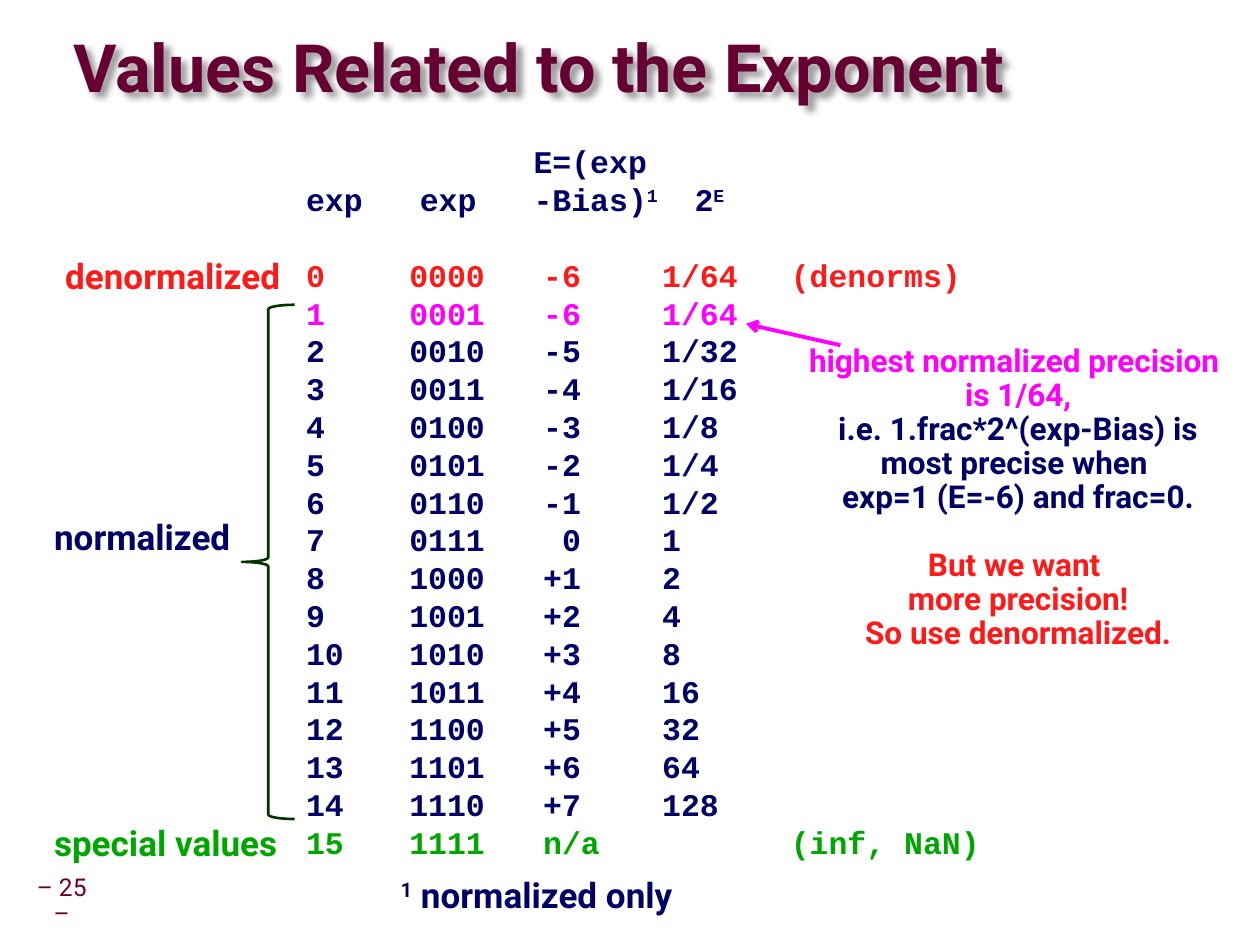
from lxml import etree
from pptx import Presentation
from pptx.dml.color import RGBColor
from pptx.enum import shapes, text
from pptx.oxml import parse_xml
from pptx.oxml.ns import nsdecls, qn
from pptx.util import Pt

PLUM = RGBColor(0x66, 0x00, 0x33)
NAVY = RGBColor(0x00, 0x00, 0x66)
RED = RGBColor(0xFF, 0x1A, 0x1A)
PINK = RGBColor(0xFF, 0x00, 0xFF)
GREEN = RGBColor(0x00, 0xA6, 0x00)
DARK = RGBColor(0x00, 0x33, 0x00)

SANS, MONO = "Roboto", "Courier New"
LEFT, MID = text.PP_ALIGN.LEFT, text.PP_ALIGN.CENTER
PITCH = 21.6  # height of one table line

HEAD_TABS = (65, 130, 222)
ROW_TABS = (59, 135.5, 203.5, 277)
POWERS = ["1/64", "1/64", "1/32", "1/16", "1/8", "1/4", "1/2"]
POWERS += [str(2 ** n) for n in range(8)]


def add_box(slide, box, pad=(7.2, 3.6, 7.2, 3.6), anchor=text.MSO_ANCHOR.TOP):
    shape = slide.shapes.add_textbox(*map(Pt, box))
    frame = shape.text_frame
    frame.word_wrap = True
    frame.vertical_anchor = anchor
    (frame.margin_left, frame.margin_top,
     frame.margin_right, frame.margin_bottom) = map(Pt, pad)
    return shape


def add_para(frame, parts, size, color, font=SANS, bold=True,
             align=LEFT, space=0.9):
    """Add a line; parts starting with ^ are raised."""
    first = frame.paragraphs[0]
    para = first if not first.runs else frame.add_paragraph()
    para.alignment, para.line_spacing = align, space
    for part in parts:
        run = para.add_run()
        run.text = part.lstrip("^")
        run.font.size, run.font.name = Pt(size), font
        run.font.bold, run.font.color.rgb = bold, color
        if part.startswith("^"):
            run.font._element.set("baseline", "30000")
    return para


def set_tabs(para, stops):
    props = para._p.get_or_add_pPr()
    tabs = etree.SubElement(props, qn("a:tabLst"))
    for stop in stops:
        etree.SubElement(tabs, qn("a:tab"), pos=str(int(Pt(stop))), algn="l")


def add_title(slide, box):
    shape = add_box(slide, box, (0, 0, 0, 0), text.MSO_ANCHOR.MIDDLE)
    add_para(shape.text_frame, ["Values Related to the Exponent"], 38, PLUM,
             space=0.87)
    # Soft shadow behind the letters
    shape._element.spPr.append(parse_xml(
        f'<a:effectLst {nsdecls("a")}><a:outerShdw blurRad="50800" '
        'dist="50800" dir="2700000"><a:srgbClr val="000000">'
        '<a:alpha val="40000"/></a:srgbClr></a:outerShdw></a:effectLst>'))


def add_page(slide, box):
    shape = add_box(slide, box, (1.5, 3.6, 13, 3.6), text.MSO_ANCHOR.MIDDLE)
    add_para(shape.text_frame, ["– 25 –"], 14, PLUM, bold=False, align=MID)


def add_values(slide, box):
    frame = add_box(slide, box).text_frame

    def add_line(parts, color, stops):
        para = add_para(frame, parts, 18, color, MONO, space=Pt(PITCH))
        set_tabs(para, stops)
        return para

    # Two header lines
    add_line(["\t\tE=(exp"], NAVY, HEAD_TABS)
    add_line(["exp\texp\t-Bias)", "^1", "\t2", "^E"], NAVY, HEAD_TABS)
    # One line for each 4-bit exponent
    tints = {0: RED, 1: PINK, 15: GREEN}
    for exp in range(16):
        power = max(exp, 1) - 7
        cells = [str(exp), f"{exp:04b}", f"{power:+d}" if power else " 0"]
        if exp == 15:
            cells[2:] = ["n/a", "", "(inf, NaN)"]
        else:
            cells.append(POWERS[exp])
        if exp == 0:
            cells.append("(denorms)")
        para = add_line(["\t".join(cells)], tints.get(exp, NAVY), ROW_TABS)
        if exp == 0:
            para.space_before = Pt(PITCH)


def add_note(slide, box):
    left, top, wide, high = box
    frame = add_box(slide, box, (3.6, 3.6, 3.6, 3.6)).text_frame
    lines = [
        ("highest normalized precision ", PINK),
        ("is 1/64,", PINK),
        ("i.e. 1.frac*2^(exp-Bias) is", NAVY),
        ("most precise when ", NAVY),
        ("exp=1 (E=-6) and frac=0.", NAVY),
        ("But we want ", RED),
        ("more precision!", RED),
        ("So use denormalized.", RED),
    ]
    for words, color in lines:
        para = add_para(frame, [words], 18, color, align=MID)
        if words.startswith("But"):
            para.space_before = Pt(19.4)
    # Arrow to the 1/64 row
    ends = (left + 24.5, top + 3.6, left - 29.5, top - 8.6)
    arrow = slide.shapes.add_connector(
        shapes.MSO_CONNECTOR.STRAIGHT, *map(Pt, ends))
    arrow.line.color.rgb, arrow.line.width = PINK, Pt(2.25)
    etree.SubElement(arrow.line._get_or_add_ln(), qn("a:tailEnd"),
                     type="arrow")
    etree.SubElement(arrow._element.spPr, qn("a:effectLst"))


def add_brace(slide, box):
    brace = slide.shapes.add_shape(
        shapes.MSO_SHAPE.LEFT_BRACE, *map(Pt, box))
    brace.shadow.inherit = False
    brace.fill.background()
    brace.line.color.rgb, brace.line.width = DARK, Pt(1.5)


def add_label(slide, box, parts, color):
    add_para(add_box(slide, box).text_frame, parts, 20, color)


def main():
    deck = Presentation()
    deck.slide_width, deck.slide_height = Pt(720), Pt(540)
    slide = deck.slides.add_slide(deck.slide_layouts[6])

    add_page(slide, (17.3, 504, 47.5, 22.3))
    add_title(slide, (41.8, 18, 584, 45.4))
    add_values(slide, (167.8, 77.8, 401, 422))
    add_note(slide, (455.8, 193.7, 252, 184.3))
    add_brace(slide, (138.2, 174.2, 30.2, 293.8))

    # Row group names and footnote
    for box, parts, color in [
        ((221.8, 498.2, 181.4, 29.5), ["^1", " normalized only"], NAVY),
        ((23.8, 293.8, 121, 29.5), ["normalized"], NAVY),
        ((30.2, 144.7, 144.7, 29.5), ["denormalized"], RED),
        ((23.8, 468.7, 152, 29.5), ["special values"], GREEN),
    ]:
        add_label(slide, box, parts, color)

    deck.save("out.pptx")


if __name__ == "__main__":
    main()
